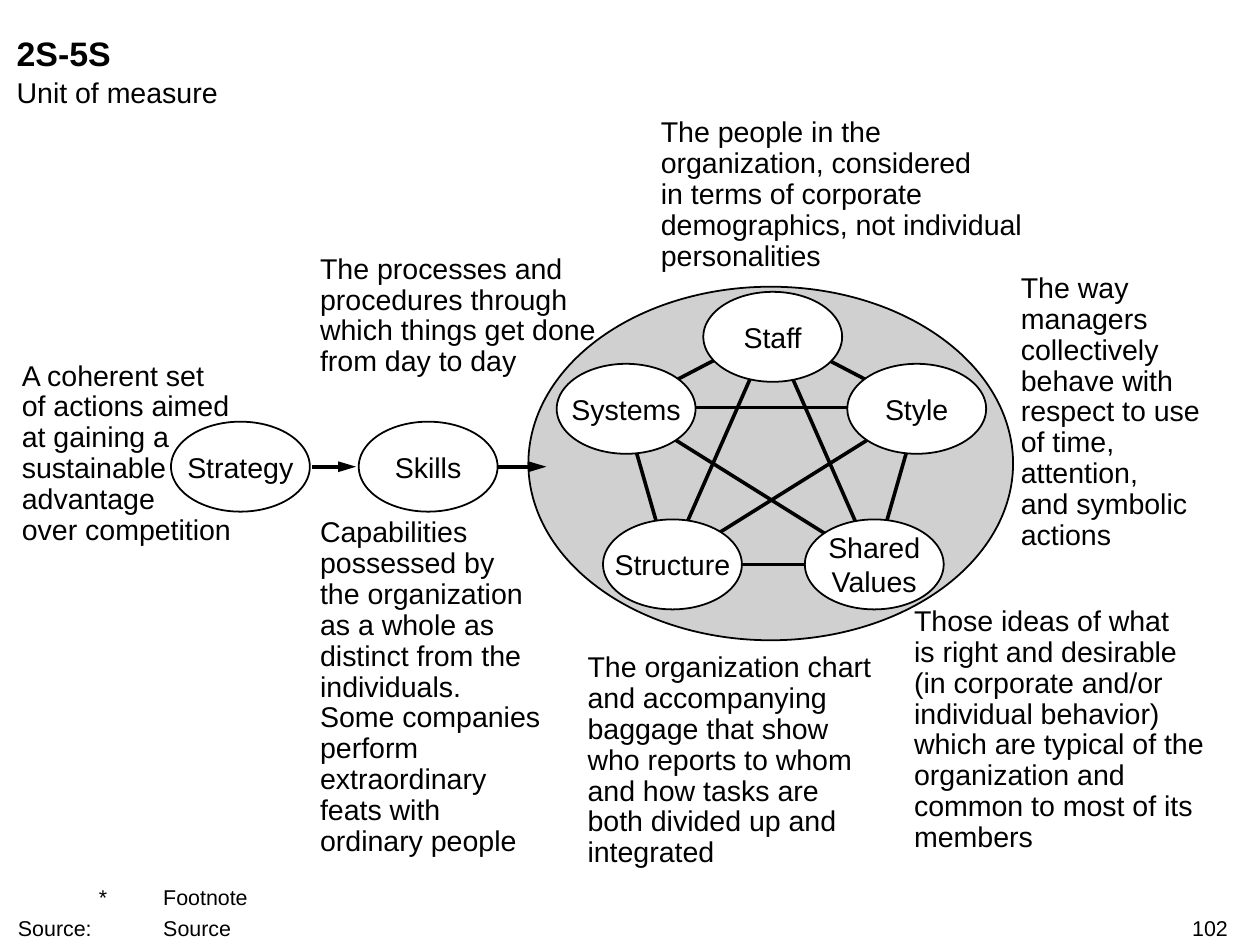
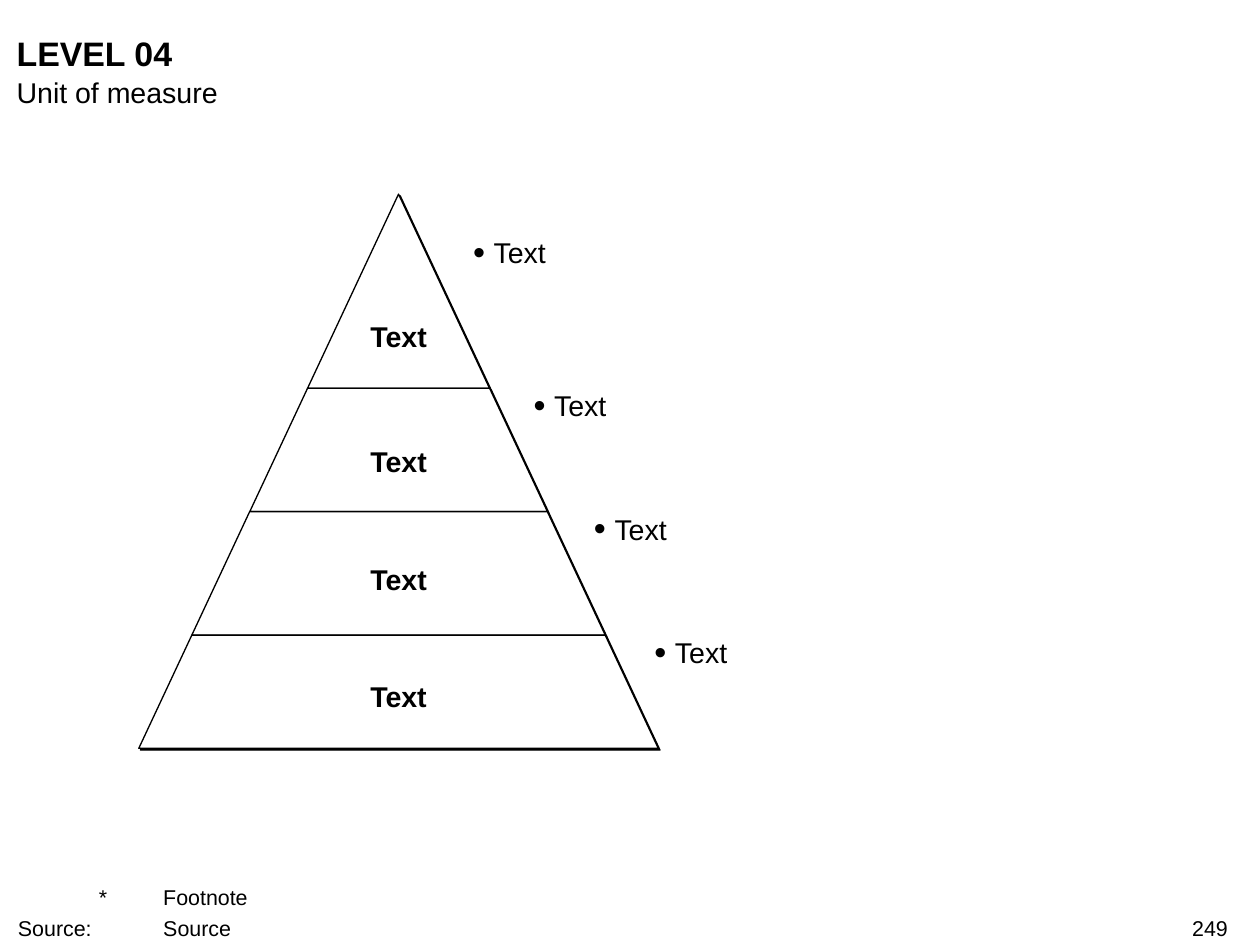
import itertools

import pptx
import pptx.dml.color
import pptx.enum.shapes
import pptx.enum.text
import pptx.oxml
import pptx.oxml.ns
import pptx.util
from pptx.util import Inches

BLACK = pptx.dml.color.RGBColor(0x00, 0x00, 0x00)
WHITE = pptx.dml.color.RGBColor(0xFF, 0xFF, 0xFF)
GREY = pptx.dml.color.RGBColor(0xD0, 0xD0, 0xD0)

ALIGN = pptx.enum.text.PP_ALIGN
ANCHOR = pptx.enum.text.MSO_ANCHOR
OVAL = pptx.enum.shapes.MSO_SHAPE.OVAL
STRAIGHT = pptx.enum.shapes.MSO_CONNECTOR.STRAIGHT

# Each description: left, top, width, height, lines
DESCRIPTIONS = [
    (7.94, 2.13, 1.59, 2.16, [
        "The way managers", "collectively behave with respect to use",
        "of time, attention,", "and symbolic actions"]),
    (5.14, 0.92, 2.94, 1.2, [
        "The people in the organization, considered",
        "in terms of corporate demographics, not individual personalities"]),
    (4.57, 5.08, 2.31, 1.68, [
        "The organization chart and accompanying baggage that show "
        "who reports to whom and how tasks are",
        "both divided up and integrated"]),
    (7.11, 4.72, 2.28, 1.92, [
        "Those ideas of what", "is right and desirable",
        "(in corporate and/or individual behavior)",
        "which are typical of the organization and common to most of its members"]),
    (2.49, 1.98, 2.16, 0.96, [
        "The processes and procedures through which things get done",
        "from day to day"]),
    (0.17, 2.81, 1.68, 1.44, [
        "A coherent set", "of actions aimed", "at gaining a", "sustainable",
        "advantage", "over competition"]),
    (2.49, 4.03, 2.06, 2.64, [
        "Capabilities", "possessed by", "the organization", "as a whole as",
        "distinct from the", "individuals.",
        "Some companies perform extraordinary", "feats with", "ordinary people"]),
]

# Each node: lines, left and top of its oval, point where its links meet
NETWORK = [
    (["Staff"], (5.47, 2.27), (6, 2.57)),
    (["Systems"], (4.33, 2.83), (4.85, 3.17)),
    (["Style"], (6.59, 2.83), (7.15, 3.17)),
    (["Shared", "Values"], (6.26, 4.04), (6.8, 4.39)),
    (["Structure"], (4.69, 4.04), (5.2, 4.39)),
]

APEX_X = 3.1
HALF_BASE = 2.02
TIER_EDGES = [1.51, 3.02, 3.98, 4.94, 5.82]
LABEL_TOPS = [2.48, 3.45, 4.37, 5.28]
BULLET_TOPS = [1.83, 3.02, 3.98, 4.94]


def add_xml(parent, tag, **attributes):
    child = pptx.oxml.parse_xml(f"<{tag} {pptx.oxml.ns.nsdecls('a')}/>")
    for name, value in attributes.items():
        child.set(name, str(value))
    parent.append(child)
    return child


class Deck:
    def __init__(self):
        self.presentation = pptx.Presentation()
        self.presentation.slide_width = Inches(9.8)
        self.presentation.slide_height = Inches(7.35)
        self.slide = None

    def start_slide(self, title, number):
        """Add a slide with the title, subtitle, footnote and page number."""
        self.slide = self.presentation.slides.add_slide(
            self.presentation.slide_layouts[6])
        self.text(0.13, 0.25, 9.43, 0.32, [title], size=19, bold=True)
        self.text(0.13, 0.58, 9.43, 0.27, ["Unit of measure"])
        footer = self.text(0.14, 6.88, 8.93, 0.44,
                           ["\t*\tFootnote", "Source:\t\tSource"], size=12,
                           anchor=ANCHOR.BOTTOM, indent=0.63,
                           tabs=[(0, "l"), (0.58, "r"), (0.98, "l")])
        footer.text_frame.paragraphs[1].space_before = pptx.util.Pt(3)
        self.text(7.51, 7.12, 2.04, 0.2, [number], size=12, align=ALIGN.RIGHT)

    def fill_text(self, shape, lines, size=16, bold=False, align=ALIGN.LEFT,
                  anchor=ANCHOR.TOP, spacing=None, wrap=True, indent=0,
                  bullet=False, tabs=()):
        frame = shape.text_frame
        frame.margin_left = frame.margin_right = 0
        frame.margin_top = frame.margin_bottom = 0
        frame.word_wrap = wrap
        frame.vertical_anchor = anchor
        frame.text = "\n".join(lines)
        for paragraph in frame.paragraphs:
            paragraph.alignment = align
            paragraph.line_spacing = spacing
            properties = paragraph._p.get_or_add_pPr()
            if indent:
                properties.set("marL", str(Inches(indent)))
                properties.set("indent", str(-Inches(indent)))
            if bullet:
                add_xml(properties, "a:buSzPct", val=120000)
                add_xml(properties, "a:buFont", typeface="Arial")
                add_xml(properties, "a:buChar", char="•")
            if tabs:
                tab_list = add_xml(properties, "a:tabLst")
                for position, side in tabs:
                    add_xml(tab_list, "a:tab", pos=Inches(position), algn=side)
            font = paragraph.font
            font.name = "Arial"
            font.size = pptx.util.Pt(size)
            font.bold = bold
            font.color.rgb = BLACK

    def text(self, left, top, width, height, lines, **style):
        box = self.slide.shapes.add_textbox(
            Inches(left), Inches(top), Inches(width), Inches(height))
        self.fill_text(box, lines, **style)
        return box

    def paint(self, shape, fill, line_width):
        shape.shadow.inherit = False
        shape.fill.solid()
        shape.fill.fore_color.rgb = fill
        shape.line.color.rgb = BLACK
        shape.line.width = pptx.util.Pt(line_width)

    def oval(self, left, top, width=1.08, height=0.7, lines=(), fill=WHITE):
        shape = self.slide.shapes.add_shape(
            OVAL, Inches(left), Inches(top), Inches(width), Inches(height))
        self.paint(shape, fill, 1)
        if lines:
            self.fill_text(shape, lines, align=ALIGN.CENTER,
                           anchor=ANCHOR.MIDDLE, wrap=False)

    def line(self, start, end, arrow=False):
        connector = self.slide.shapes.add_connector(
            STRAIGHT, *(Inches(value) for value in (*start, *end)))
        connector.line.color.rgb = BLACK
        connector.line.width = pptx.util.Pt(2)
        if arrow:
            add_xml(connector.line._get_or_add_ln(), "a:tailEnd",
                    type="triangle", w="med", len="lg")
        add_xml(connector._element.spPr, "a:effectLst")

    def shadowed_polygon(self, points):
        corners = [(Inches(x), Inches(y)) for x, y in points]
        builder = self.slide.shapes.build_freeform(*corners[0], scale=1.0)
        builder.add_line_segments(corners[1:], close=True)
        shape = builder.convert_to_shape()
        self.paint(shape, WHITE, 0.75)
        effects = shape._element.spPr.find(pptx.oxml.ns.qn("a:effectLst"))
        shadow = add_xml(effects, "a:outerShdw", dist=pptx.util.Pt(1.4),
                         dir=45 * 60000, algn="ctr", rotWithShape=0)
        add_xml(shadow, "a:srgbClr", val=BLACK)


def half_width(y):
    """Half the width of the pyramid at height y."""
    top, bottom = TIER_EDGES[0], TIER_EDGES[-1]
    return HALF_BASE * (y - top) / (bottom - top)


def build_network_slide(deck):
    deck.start_slide("2S-5S", "102")
    for left, top, width, height, lines in DESCRIPTIONS:
        deck.text(left, top, width, height, lines,
                  anchor=ANCHOR.MIDDLE, spacing=0.9)
    deck.oval(4.11, 2.23, 3.77, 2.75, fill=GREY)
    hubs = [hub for _, _, hub in NETWORK]
    for start, end in itertools.combinations(hubs, 2):
        deck.line(start, end)
    for lines, corner, _ in NETWORK:
        deck.oval(*corner, lines=lines)
    deck.line((2.43, 3.63), (2.77, 3.63), arrow=True)
    deck.line((3.79, 3.63), (4.25, 3.63), arrow=True)
    deck.oval(2.79, 3.28, lines=["Skills"])
    deck.oval(1.33, 3.28, lines=["Strategy"])


def build_pyramid_slide(deck):
    deck.start_slide("LEVEL 04", "249")
    for top, bottom in itertools.pairwise(TIER_EDGES):
        upper, lower = half_width(top), half_width(bottom)
        corners = [(APEX_X - lower, bottom), (APEX_X + lower, bottom),
                   (APEX_X + upper, top), (APEX_X - upper, top)]
        deck.shadowed_polygon(list(dict.fromkeys(corners)))
    for top in LABEL_TOPS:
        width = 2 * half_width(top) - 0.1
        deck.text(APEX_X - width / 2, top, width, 0.27, ["Text"], bold=True,
                  align=ALIGN.CENTER, anchor=ANCHOR.MIDDLE)
    for index, top in enumerate(BULLET_TOPS):
        deck.text(3.68 + 0.47 * index, top, 4.1, 0.27, ["Text"],
                  indent=0.16, bullet=True)


def main():
    deck = Deck()
    build_network_slide(deck)
    build_pyramid_slide(deck)
    deck.presentation.save("out.pptx")


if __name__ == "__main__":
    main()
